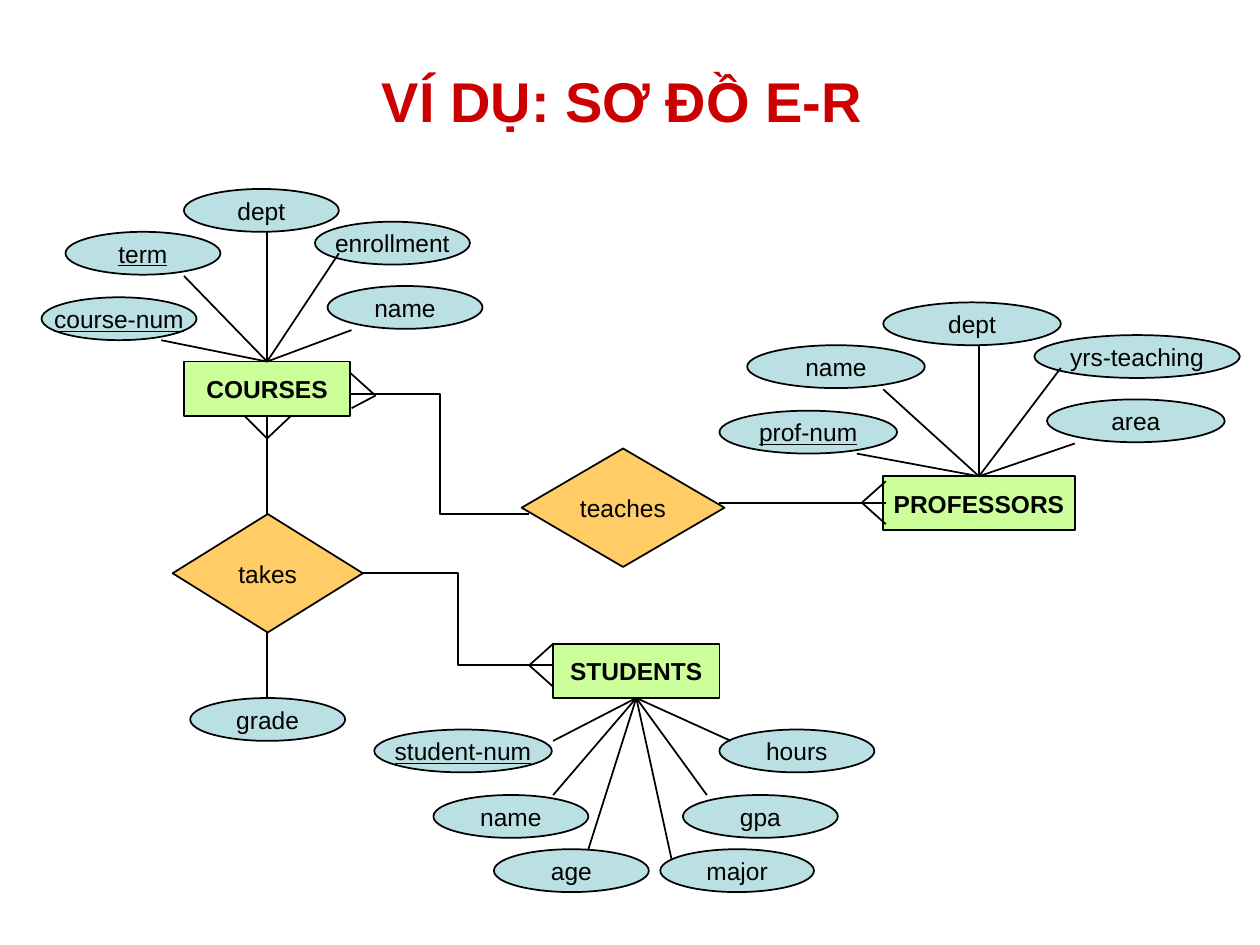
"""Build an entity-relationship diagram of courses, professors and students."""
from lxml import etree
from pptx import Presentation
from pptx.dml.color import RGBColor
from pptx.enum.shapes import MSO_CONNECTOR, MSO_SHAPE
from pptx.enum.text import MSO_ANCHOR, PP_ALIGN
from pptx.oxml.ns import qn
from pptx.util import Inches, Pt

RECT, OVAL, DIAMOND = MSO_SHAPE.RECTANGLE, MSO_SHAPE.OVAL, MSO_SHAPE.DIAMOND
LINE, ELBOW = MSO_CONNECTOR.STRAIGHT, MSO_CONNECTOR.ELBOW
MIDDLE, CENTER = MSO_ANCHOR.MIDDLE, PP_ALIGN.CENTER

COLORS = {"title": "CC0000", "ink": "000000", "entity": "CCFF99",
          "field": "BBE0E3", "relation": "FFCC66"}

# Entity: name, left, top, width, hub of its spokes
# Field: name, left, top, width, spoke end, is key
ENTITIES = [
    (("COURSES", 1.46, 2.87, 1.32), (2.12, 2.87), [
        ("course-num", 0.33, 2.36, 1.23, (1.28, 2.7), True),
        ("term", 0.52, 1.84, 1.23, (1.46, 2.19), True),
        ("enrollment", 2.5, 1.76, 1.23, (2.69, 2.01), False),
        ("name", 2.6, 2.27, 1.23, (2.79, 2.62), False),
        ("dept", 1.46, 1.5, 1.23, (2.12, 1.84), False)]),
    (("PROFESSORS", 7.01, 3.78, 1.52), (7.77, 3.78), [
        ("prof-num", 5.71, 3.26, 1.41, (6.8, 3.6), True),
        ("name", 5.93, 2.74, 1.41, (7.01, 3.09), False),
        ("yrs-teaching", 8.21, 2.66, 1.63, (8.42, 2.92), False),
        ("area", 8.31, 3.17, 1.41, (8.53, 3.52), False),
        ("dept", 7.01, 2.4, 1.41, (7.77, 2.74), False)]),
    (("STUDENTS", 4.39, 5.11, 1.32), (5.05, 5.54), [
        ("student-num", 2.97, 5.79, 1.41, (4.39, 5.88), True),
        ("name", 3.44, 6.31, 1.23, (4.39, 6.31), False),
        ("age", 3.92, 6.74, 1.23, (4.67, 6.74), False),
        ("major", 5.24, 6.74, 1.22, (5.33, 6.82), False),
        ("gpa", 5.42, 6.31, 1.23, (5.61, 6.31), False),
        ("hours", 5.71, 5.79, 1.23, (5.8, 5.88), False)]),
]

RELATIONS = [("teaches", 4.14, 3.56, 1.61), ("takes", 1.37, 4.08, 1.51)]

LINKS = [
    (LINE, (5.71, 3.99), (7.03, 3.99)),
    (ELBOW, (4.2, 4.08), (2.78, 3.13)),
    (ELBOW, (4.39, 5.28), (2.88, 4.55)),
    (LINE, (2.12, 3.3), (2.12, 4.08)),
]

# Crow's feet: toe, tip, toe
FEET = [
    ((2.78, 2.96), (2.98, 3.14), (2.79, 3.24)),
    ((7.03, 3.82), (6.84, 3.99), (7.03, 4.16)),
    ((4.39, 5.11), (4.2, 5.28), (4.39, 5.45)),
    ((1.94, 3.3), (2.12, 3.48), (2.31, 3.3)),
]


def color(name):
    return RGBColor.from_string(COLORS[name])


def style(font, size, ink, bold=False, key=False):
    font.name = "Arial"
    font.size = Pt(size)
    font.color.rgb = color(ink)
    font.bold = bold
    font.underline = key


def add_title(slide, text):
    title = slide.shapes.title
    title.left, title.top = Inches(0.5), Inches(0.17)
    title.width, title.height = Inches(9), Inches(1.25)
    frame = title.text_frame
    frame.text = text
    frame.vertical_anchor = MIDDLE
    para = frame.paragraphs[0]
    para.alignment = CENTER
    style(para.font, 32, "title", bold=True)


def add_node(slide, kind, fill, text, x, y, w, h, bold=False, key=False):
    node = slide.shapes.add_shape(kind, Inches(x), Inches(y), Inches(w), Inches(h))
    node.shadow.inherit = False
    node.fill.solid()
    node.fill.fore_color.rgb = color(fill)
    node.line.color.rgb = color("ink")
    node.line.width = Pt(1)
    frame = node.text_frame
    frame.text = text
    frame.word_wrap = False
    frame.vertical_anchor = MIDDLE
    para = frame.paragraphs[0]
    para.alignment = CENTER
    style(para.font, 14, "ink", bold, key)


def add_link(slide, start, end, kind=LINE):
    ends = [Inches(v) for v in (*start, *end)]
    link = slide.shapes.add_connector(kind, *ends)
    link.line.color.rgb = color("ink")
    link.line.width = Pt(1)
    etree.SubElement(link._element.spPr, qn("a:effectLst"))


def add_entity(slide, box, hub, fields):
    add_node(slide, RECT, "entity", *box, 0.43, bold=True)
    for name, x, y, w, end, key in fields:
        add_node(slide, OVAL, "field", name, x, y, w, 0.34, key=key)
    for field in fields:
        add_link(slide, hub, field[4])


def main():
    deck = Presentation()
    deck.slide_width, deck.slide_height = Inches(10), Inches(7.5)
    slide = deck.slides.add_slide(deck.slide_layouts[5])
    add_title(slide, "VÍ DỤ: SƠ ĐỒ E-R ")
    for entity in ENTITIES:
        add_entity(slide, *entity)
    add_node(slide, OVAL, "field", "grade", 1.51, 5.54, 1.23, 0.34)
    add_link(slide, (2.12, 5.02), (2.12, 5.54))
    for relation in RELATIONS:
        add_node(slide, DIAMOND, "relation", *relation, 0.94)
    for kind, start, end in LINKS:
        add_link(slide, start, end, kind)
    for toe, tip, other in FEET:
        add_link(slide, toe, tip)
        add_link(slide, tip, other)
    deck.save("out.pptx")


if __name__ == "__main__":
    main()
